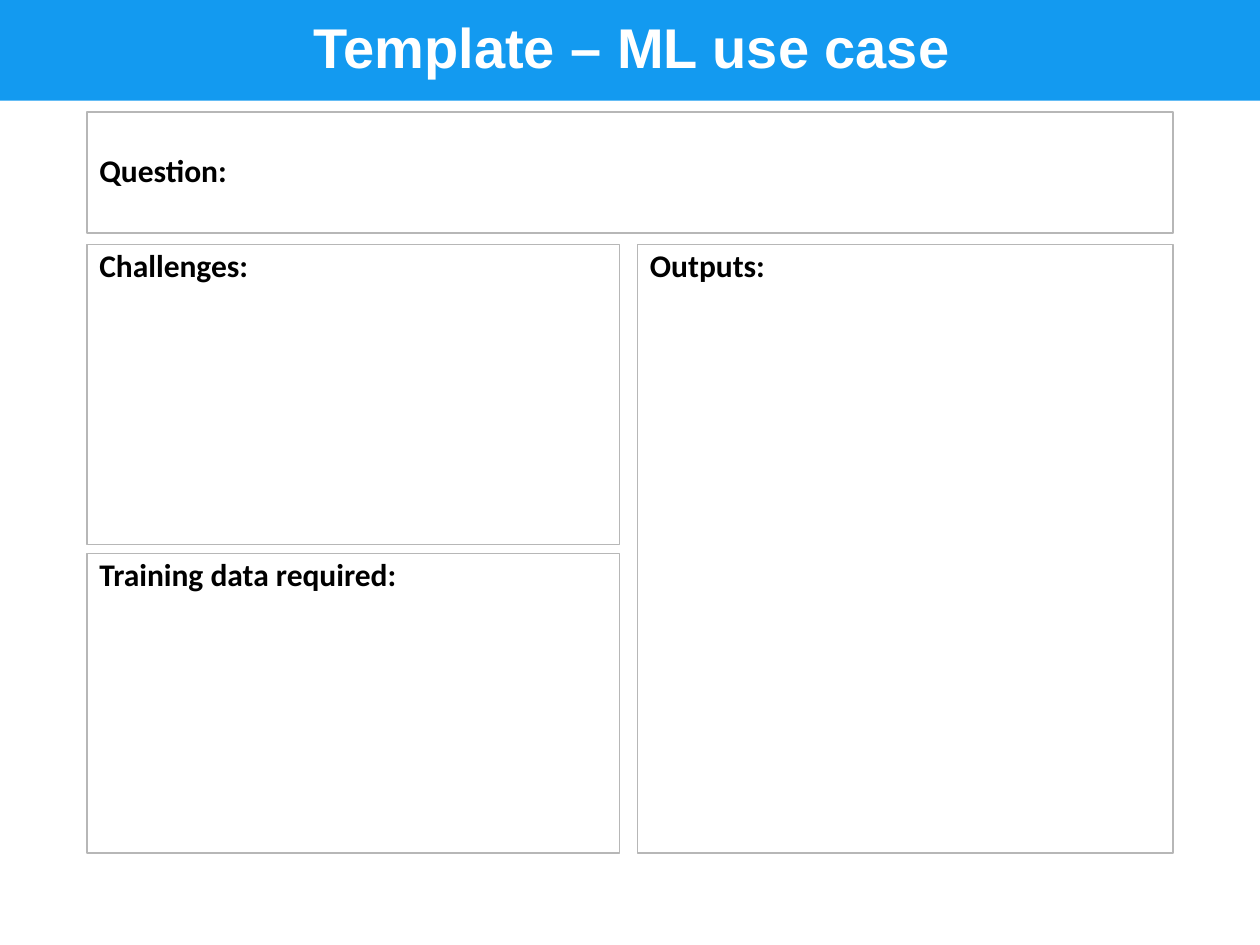
from dataclasses import dataclass

import pptx
import pptx.dml.color
import pptx.enum.shapes
import pptx.enum.text
import pptx.slide
import pptx.text.text
import pptx.util

Inches = pptx.util.Inches
Anchor = pptx.enum.text.MSO_ANCHOR
RECTANGLE = pptx.enum.shapes.MSO_SHAPE.RECTANGLE

BLUE = pptx.dml.color.RGBColor(0x13, 0x9A, 0xF0)
GRAY = pptx.dml.color.RGBColor(0xB7, 0xB7, 0xB7)
BLACK = pptx.dml.color.RGBColor(0, 0, 0)
WHITE = pptx.dml.color.RGBColor(0xFF, 0xFF, 0xFF)

PAGE_WIDTH, PAGE_HEIGHT = 10, 7.5
BANNER_HEIGHT = 0.8
LEFT, RIGHT, BOTTOM = 0.69, 9.31, 6.77
COLUMN_WIDTH, OUTPUTS_LEFT = 4.23, 5.06
QUESTION_TOP, QUESTION_HEIGHT = 0.89, 0.96
BODY_TOP, PANEL_HEIGHT = 1.94, 2.38


@dataclass(frozen=True)
class Panel:
    """A titled, outlined area of the template, measured in inches."""

    label: str
    left: float
    top: float
    width: float
    height: float
    anchor: Anchor = Anchor.TOP


PANELS = [
    Panel("Question:", LEFT, QUESTION_TOP, RIGHT - LEFT, QUESTION_HEIGHT, Anchor.MIDDLE),
    Panel("Challenges:", LEFT, BODY_TOP, COLUMN_WIDTH, PANEL_HEIGHT),
    Panel("Training data required:", LEFT, BOTTOM - PANEL_HEIGHT, COLUMN_WIDTH, PANEL_HEIGHT),
    Panel("Outputs:", OUTPUTS_LEFT, BODY_TOP, RIGHT - OUTPUTS_LEFT, BOTTOM - BODY_TOP),
]


def write_text(
    frame: pptx.text.text.TextFrame,
    text: str,
    font_name: str,
    size: float,
    color: pptx.dml.color.RGBColor,
    alignment: pptx.enum.text.PP_ALIGN,
    anchor: Anchor,
) -> None:
    """Fill a text frame with one bold line."""
    frame.text = text
    frame.word_wrap = True
    frame.vertical_anchor = anchor
    paragraph = frame.paragraphs[0]
    paragraph.alignment = alignment
    paragraph.line_spacing = 0.9
    font = paragraph.runs[0].font
    font.name = font_name
    font.size = pptx.util.Pt(size)
    font.bold = True
    font.color.rgb = color


def draw_banner(page: pptx.slide.Slide, title: str) -> None:
    """Draw the blue band and its centred title."""
    band = page.shapes.add_shape(
        RECTANGLE, 0, 0, Inches(PAGE_WIDTH), Inches(BANNER_HEIGHT)
    )
    band.shadow.inherit = False
    band.fill.solid()
    band.fill.fore_color.rgb = BLUE
    band.line.fill.background()
    box = page.shapes.add_textbox(
        Inches(LEFT), 0, Inches(8.65), Inches(BANNER_HEIGHT)
    )
    write_text(
        box.text_frame, title, "Arial", 32, WHITE,
        pptx.enum.text.PP_ALIGN.CENTER, Anchor.MIDDLE,
    )


def draw_panel(page: pptx.slide.Slide, panel: Panel) -> None:
    """Draw one outlined panel with its label."""
    box = page.shapes.add_shape(
        RECTANGLE,
        Inches(panel.left), Inches(panel.top),
        Inches(panel.width), Inches(panel.height),
    )
    box.shadow.inherit = False
    box.fill.background()
    box.line.color.rgb = GRAY
    box.line.width = pptx.util.Pt(0.75)
    write_text(
        box.text_frame, panel.label, "Calibri", 18, BLACK,
        pptx.enum.text.PP_ALIGN.LEFT, panel.anchor,
    )


def main() -> None:
    """Build the template slide and save it."""
    deck = pptx.Presentation()
    deck.slide_width = Inches(PAGE_WIDTH)
    deck.slide_height = Inches(PAGE_HEIGHT)
    page = deck.slides.add_slide(deck.slide_layouts[6])
    draw_banner(page, "Template – ML use case")
    for panel in PANELS:
        draw_panel(page, panel)
    deck.save("out.pptx")


if __name__ == "__main__":
    main()
